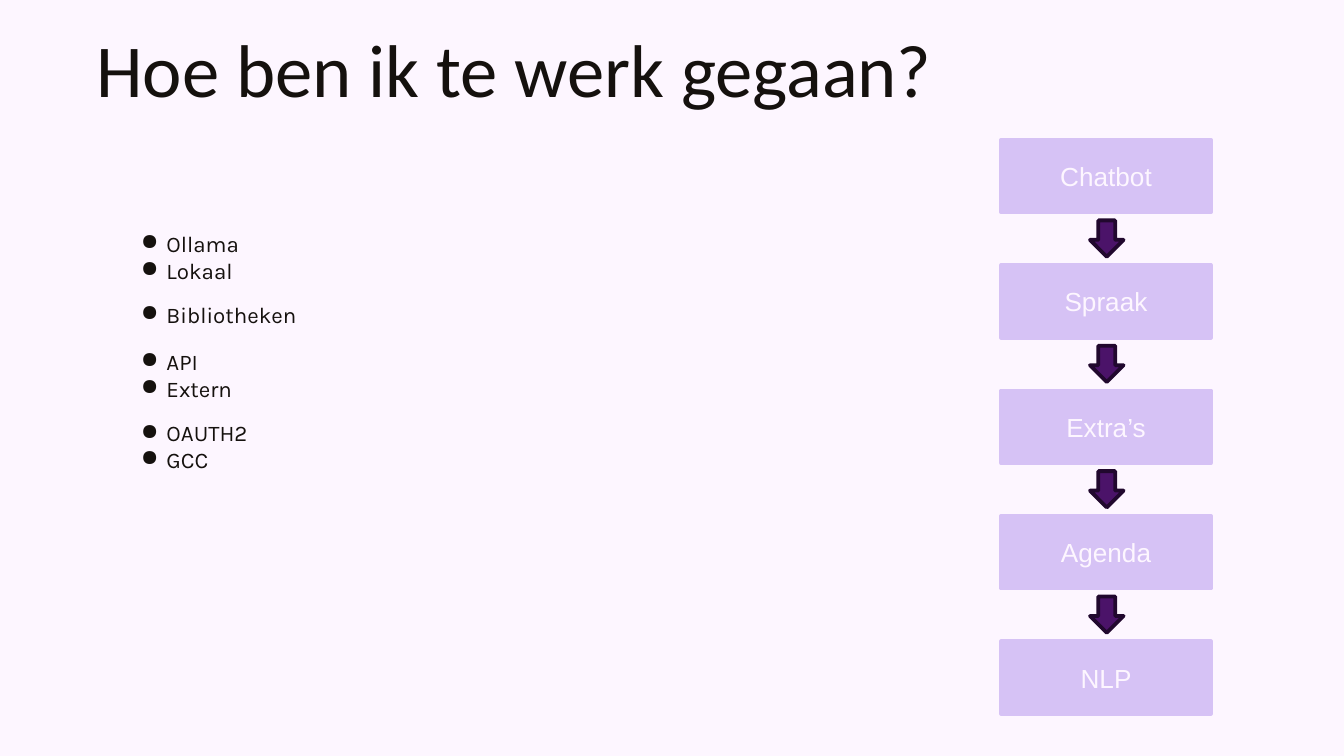
import pptx
import pptx.dml.color
import pptx.enum.shapes
import pptx.enum.text
import pptx.oxml
import pptx.oxml.ns
import pptx.util

HUES = {"page": "FDF6FF", "ink": "15110E", "box": "D6C2F5",
        "arrow": "4B1369", "edge": "21082E"}
FONTS = {
    "title": {"name": "Calibri", "size": pptx.util.Pt(40)},
    "list": {"name": "Karla", "size": pptx.util.Pt(12)},
    "step": {"name": "Arial", "size": pptx.util.Pt(14)},
}
GROUPS = [["Ollama", "Lokaal"], ["Bibliotheken"], ["API", "Extern"], ["OAUTH2", "GCC"]]
STEPS = ["Chatbot", "Spraak", "Extra’s", "Agenda", "NLP"]
SHAPES = pptx.enum.shapes.MSO_SHAPE

deck = pptx.Presentation()
deck.slide_width = pptx.util.Inches(10)
deck.slide_height = deck.slide_width * 9 // 16
cell = deck.slide_width // 100  # the grid is 100 columns wide, with square cells
slide = deck.slides.add_slide(deck.slide_layouts[6])
slide.background.fill.solid()
slide.background.fill.fore_color.rgb = pptx.dml.color.RGBColor.from_string(HUES["page"])


def write(frame, lines, font, hue, bullet=False):
    """Fill a text frame with one paragraph per line."""
    frame.word_wrap = True
    for row, line in enumerate(lines):
        para = frame.paragraphs[0] if row == 0 else frame.add_paragraph()
        if bullet:
            props = para._p.get_or_add_pPr()
            props.set("marL", str(int(1.9 * cell)))
            props.set("indent", str(int(-1.9 * cell)))
            space = pptx.oxml.ns.nsdecls("a")
            for mark in (f'<a:buClr {space}><a:srgbClr val="{HUES[hue]}"/></a:buClr>',
                         f'<a:buChar {space} char="●"/>'):
                props.append(pptx.oxml.parse_xml(mark))
        run = para.add_run()
        run.text = line
        for key, value in FONTS[font].items():
            setattr(run.font, key, value)
        run.font.color.rgb = pptx.dml.color.RGBColor.from_string(HUES[hue])


def place(kind, left, top, width, height, fill=None, edge=None):
    """Add a shape, or a text box when kind is None, measured in grid cells."""
    area = [int(n * cell) for n in (left, top, width, height)]
    if kind is None:
        item = slide.shapes.add_textbox(*area)
        for side in ("left", "right", "top", "bottom"):
            setattr(item.text_frame, f"margin_{side}", cell)
        return item
    item = slide.shapes.add_shape(kind, *area)
    item.shadow.inherit = False
    item.fill.solid()
    item.fill.fore_color.rgb = pptx.dml.color.RGBColor.from_string(HUES[fill])
    item.line.color.rgb = pptx.dml.color.RGBColor.from_string(HUES[edge])
    item.line.width = pptx.util.Pt(2)
    return item


title = place(None, 6.2, 0.7, 87.6, 10.4)
write(title.text_frame, ["Hoe ben ik te werk gegaan?"], "title", "ink")

# Each list starts where the text of the one above ends, plus a gap
top = 16.1
for group in GROUPS:
    text = 1.8 * len(group)
    notes = place(None, 9.5, top, 42.2, text + 1.8)
    write(notes.text_frame, group, "list", "ink", bullet=True)
    top += text + 1.7

# The chain of steps, with an arrow below each one but the last
for row, step in enumerate(STEPS):
    top = 10.4 + 9.33 * row
    box = place(SHAPES.RECTANGLE, 74.5, top, 15.6, 5.4, "box", "box")
    write(box.text_frame, [step], "step", "page")
    box.text_frame.vertical_anchor = pptx.enum.text.MSO_ANCHOR.MIDDLE
    box.text_frame.paragraphs[0].alignment = pptx.enum.text.PP_ALIGN.CENTER
    if row < len(STEPS) - 1:
        place(SHAPES.DOWN_ARROW, 81.1, top + 6, 2.5, 2.7, "arrow", "edge")

deck.save("out.pptx")
